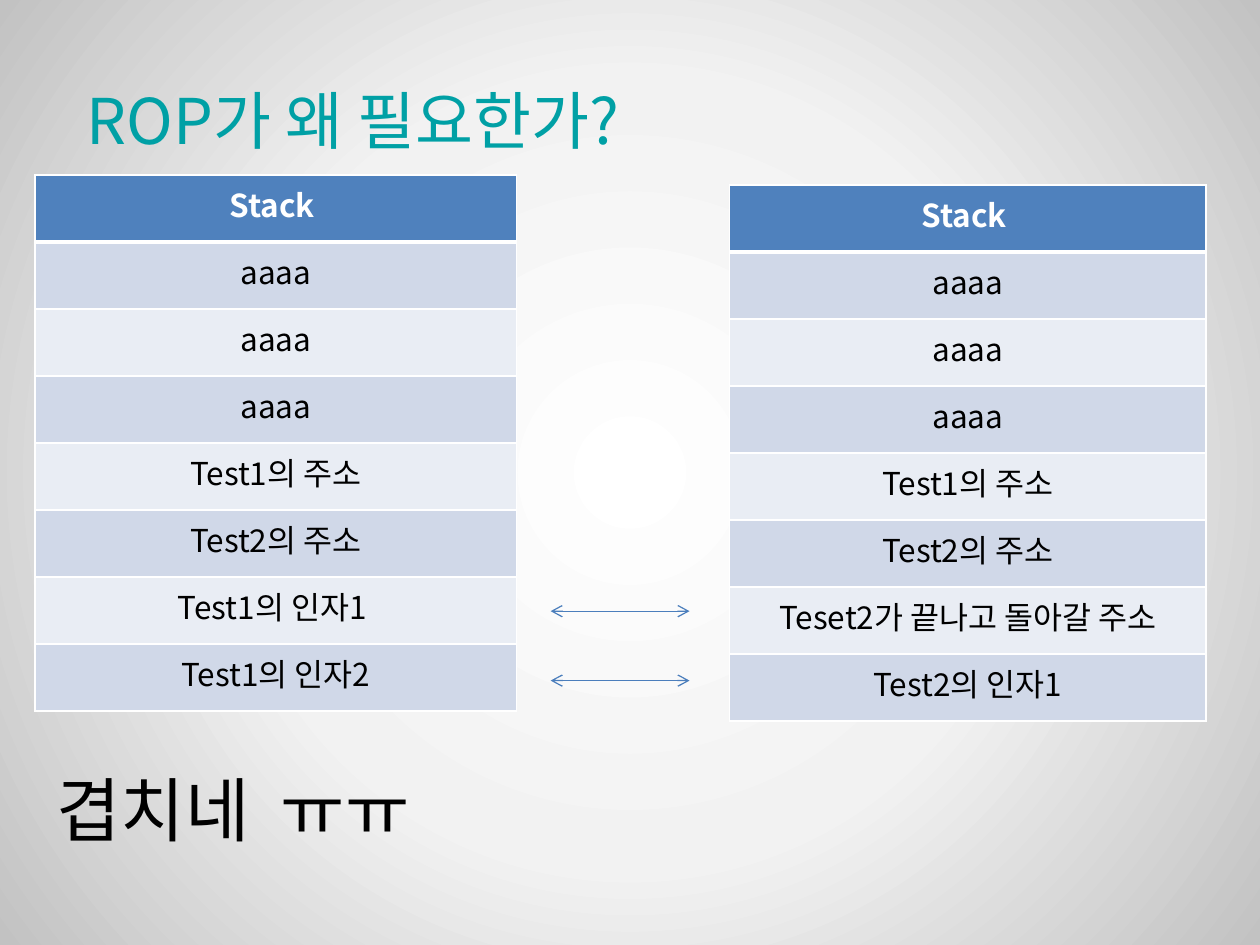
import pptx
import pptx.dml.color
import pptx.enum.shapes
import pptx.enum.text
import pptx.oxml
import pptx.oxml.ns
import pptx.util
from lxml import etree
from pptx.util import Cm, Pt

FONT = "Noto Sans CJK KR"
SHARED_ROWS = ["Stack ", "aaaa", "aaaa", "aaaa", "Test1의 주소", "Test2의 주소"]


def color(hex_value):
    return pptx.dml.color.RGBColor.from_string(hex_value)


def add_xml(parent, tag, **attributes):
    return etree.SubElement(parent, pptx.oxml.ns.qn(tag), attributes)


class StackSlide:
    """Slide that compares call stacks in one shared style."""

    def __init__(self, presentation):
        self.slide = presentation.slides.add_slide(presentation.slide_layouts[6])
        self.header_fill = "4F81BD"
        self.band_fills = ["E9EDF4", "D0D8E8"]
        self.border_color = "FFFFFF"
        self.arrow_color = "4B7EBC"
        self.row_height = Cm(1.35)

    def set_background(self, stops):
        fill = self.slide.background.fill
        fill.gradient()
        gradient = self.slide.element.xpath(".//p:bgPr/a:gradFill")[0]
        for child in list(gradient):
            gradient.remove(child)
        stop_list = add_xml(gradient, "a:gsLst")
        for position, hex_value in stops:
            stop = add_xml(stop_list, "a:gs", pos=str(position * 1000))
            add_xml(stop, "a:srgbClr", val=hex_value)
        circle = add_xml(gradient, "a:path", path="circle")
        add_xml(circle, "a:fillToRect", l="50000", t="50000", r="50000", b="50000")

    def format_text(self, paragraph, size, hex_value, bold=False):
        for run in paragraph.runs:
            run.font.name = FONT
            run.font.size = Pt(size)
            run.font.bold = bold
            run.font.color.rgb = color(hex_value)
            add_xml(run.font._element, "a:ea", typeface=FONT)

    def add_text(self, text, left, top, width, height, size, hex_value):
        text_frame = self.slide.shapes.add_textbox(left, top, width, height).text_frame
        text_frame.word_wrap = True
        text_frame.auto_size = pptx.enum.text.MSO_AUTO_SIZE.SHAPE_TO_FIT_TEXT
        text_frame.text = text
        self.format_text(text_frame.paragraphs[0], size, hex_value)

    def add_borders(self, cell, widths):
        properties = cell._tc.get_or_add_tcPr()
        for side, width in widths.items():
            line = add_xml(properties, f"a:ln{side}", w=str(Pt(width)))
            fill = add_xml(line, "a:solidFill")
            add_xml(fill, "a:srgbClr", val=self.border_color)

    def add_stack(self, rows, left, top, width):
        frame = self.slide.shapes.add_table(
            len(rows), 1, left, top, width, self.row_height * len(rows))
        table = frame.table
        table.first_row = False
        table.horz_banding = False
        for index, text in enumerate(rows):
            table.rows[index].height = self.row_height
            header = index == 0
            cell = table.cell(index, 0)
            self.add_borders(cell, {"L": 1, "R": 1, "T": 3 if index == 1 else 1,
                                    "B": 3 if header else 1})
            cell.fill.solid()
            cell.fill.fore_color.rgb = color(
                self.header_fill if header else self.band_fills[index % 2])
            cell.text_frame.text = text
            paragraph = cell.text_frame.paragraphs[0]
            paragraph.alignment = pptx.enum.text.PP_ALIGN.CENTER
            self.format_text(paragraph, 18, "FFFFFF" if header else "000000", header)

    def add_double_arrow(self, left, right, y):
        connector = self.slide.shapes.add_connector(
            pptx.enum.shapes.MSO_CONNECTOR.STRAIGHT, left, y, right, y)
        connector.line.color.rgb = color(self.arrow_color)
        connector.line.width = Pt(0.75)
        line = connector.line._get_or_add_ln()
        add_xml(line, "a:headEnd", type="arrow")
        add_xml(line, "a:tailEnd", type="arrow")
        add_xml(connector._element.spPr, "a:effectLst")


def main():
    presentation = pptx.Presentation()
    presentation.slide_width = Cm(25.4)
    presentation.slide_height = Cm(19.05)
    slide = StackSlide(presentation)
    slide.set_background([(0, "FFFFFF"), (50, "F2F2F2"), (100, "C2C2C2")])
    slide.add_text("ROP가 왜 필요한가?", Cm(1.5), Cm(1.52), Cm(22.4), Cm(1.8),
                   36, "00A0A5")
    slide.add_stack(SHARED_ROWS + ["Test1의 인자1 ", "Test1의 인자2"],
                    Cm(0.71), Cm(3.53), Cm(9.7))
    slide.add_stack(SHARED_ROWS + ["Teset2가 끝나고 돌아갈 주소", "Test2의 인자1"],
                    Cm(14.71), Cm(3.73), Cm(9.6))
    for y in (Cm(12.32), Cm(13.72)):
        slide.add_double_arrow(Cm(11.1), Cm(13.9), y)
    slide.add_text("겹치네  ㅠㅠ", Cm(0.89), Cm(15.32), Cm(22.6), Cm(1.96),
                   40, "000000")
    presentation.save("out.pptx")


if __name__ == "__main__":
    main()
